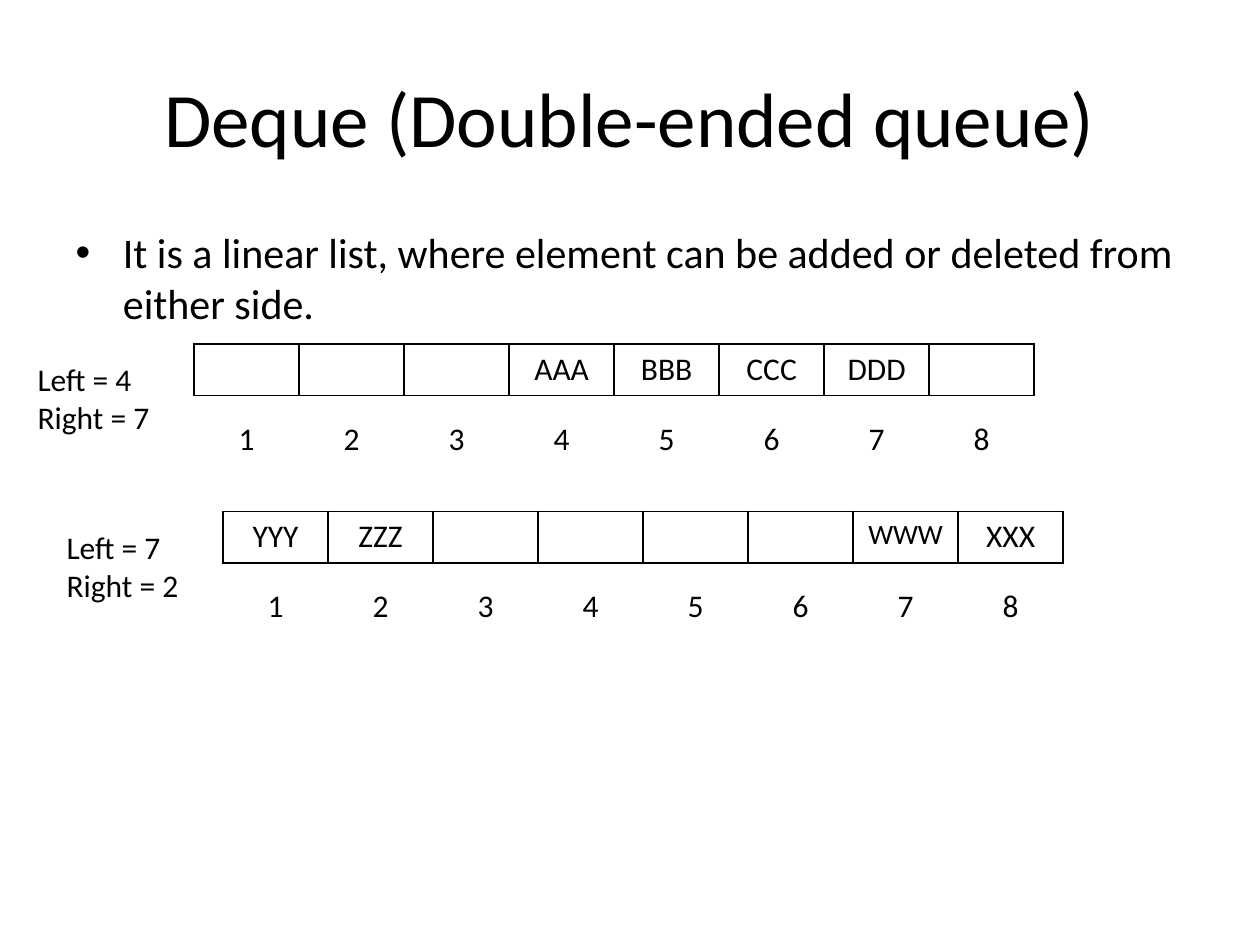
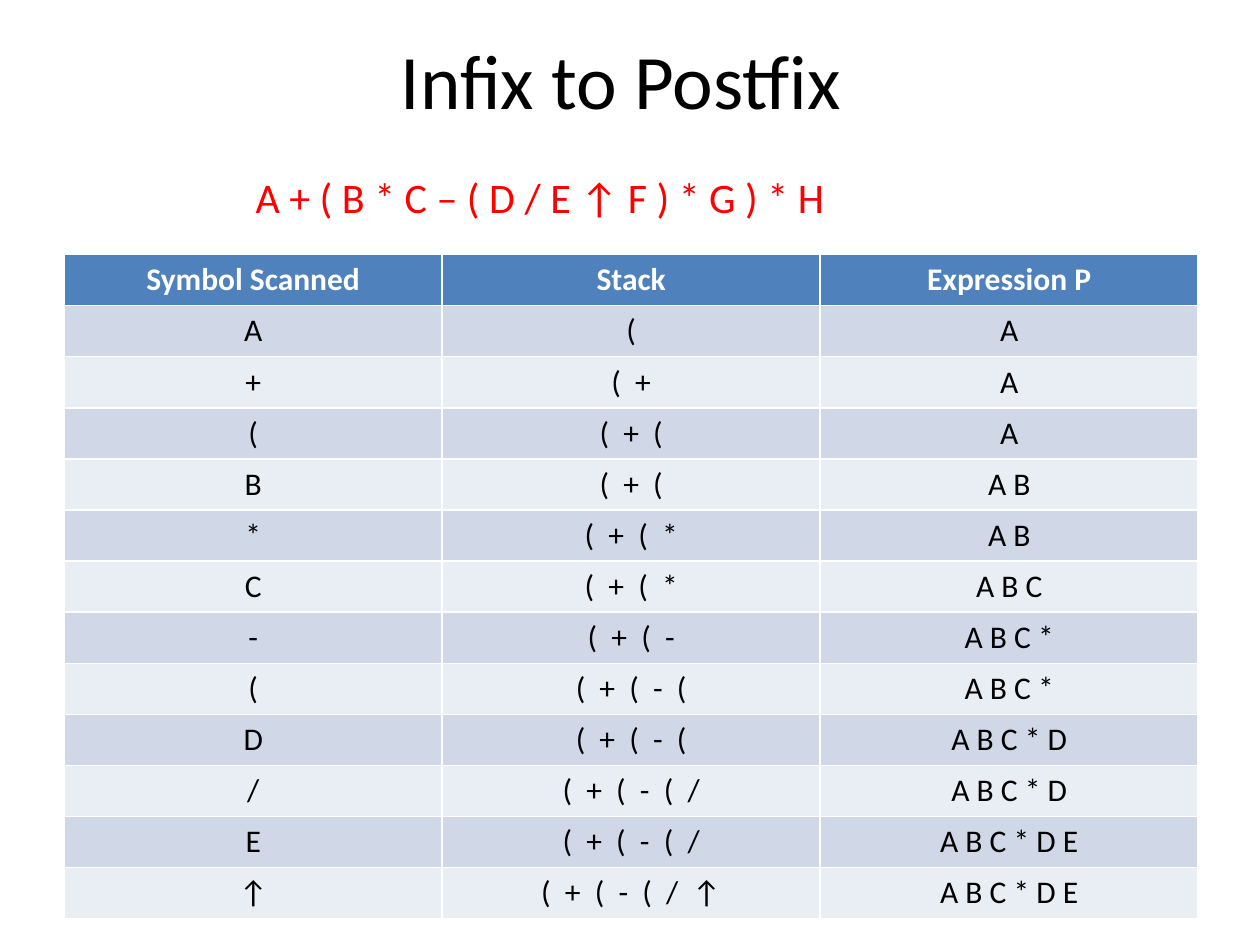
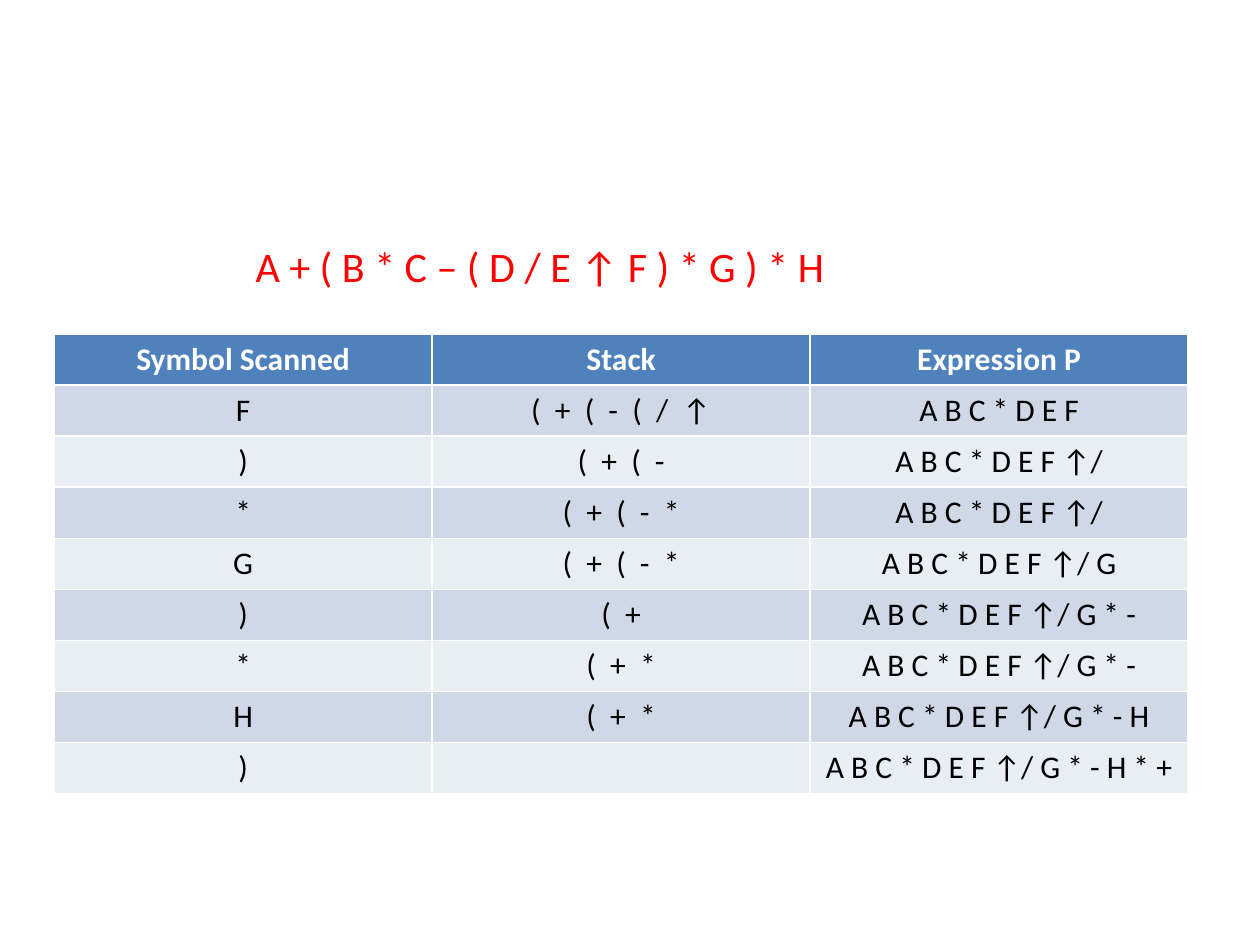
from lxml import etree
from pptx import Presentation
from pptx.dml.color import RGBColor
from pptx.enum.text import PP_ALIGN
from pptx.oxml.ns import qn
from pptx.util import Inches, Pt

CENTER = PP_ALIGN.CENTER
FONT = "Calibri"
BLACK, WHITE, RED = "000000", "FFFFFF", "FF0000"
HEADER_FILL = "4F81BD"
BAND_FILLS = ["E9EDF4", "D0D8E8"]
TITLE_ONLY, TITLE_AND_CONTENT, BLANK = 5, 1, 6
EXPRESSION = "A + ( B * C – ( D / E ↑ F ) * G ) * H"
HEADINGS = ("Symbol Scanned", "Stack", "Expression P")


def format_text(text_frame, size, color, bold=False, alignment=None):
    for paragraph in text_frame.paragraphs:
        paragraph.alignment = alignment
        paragraph.font.name = FONT
        paragraph.font.size = Pt(size)
        paragraph.font.bold = bold
        paragraph.font.color.rgb = RGBColor.from_string(color)


def add_grid(slide, rows, left, top, width, height):
    """Add a table with centred 18 pt black text and no fill."""
    table = slide.shapes.add_table(len(rows), len(rows[0]), Inches(left), Inches(top),
                                   Inches(width), Inches(height)).table
    for row_index, row in enumerate(rows):
        for column_index, text in enumerate(row):
            cell = table.cell(row_index, column_index)
            cell.text = text
            cell.fill.background()
            format_text(cell.text_frame, 18, BLACK, alignment=CENTER)
    return table


presentation = Presentation()
presentation.slide_width = Inches(10)
presentation.slide_height = Inches(7.5)
layouts = presentation.slide_layouts

# Slide 1: deque
slide = presentation.slides.add_slide(layouts[TITLE_AND_CONTENT])
slide.shapes.title.text = "Deque (Double-ended queue)"
format_text(slide.shapes.title.text_frame, 44, BLACK, alignment=CENTER)
body = slide.placeholders[1]
body.text = "It is a linear list, where element can be added or deleted from either side."
format_text(body.text_frame, 24, BLACK)

deques = [
    (1.54, 2.73, ["", "", "", "AAA", "BBB", "CCC", "DDD", ""], "Left = 4\nRight = 7"),
    (1.77, 4.06, ["YYY", "ZZZ", "", "", "", "", "WWW", "XXX"], "Left = 7\nRight = 2"),
]
for left, top, elements, pointers in deques:
    deque_table = add_grid(slide, [elements], left, top, 6.67, 0.41)
    deque_table.first_row = deque_table.horz_banding = False
    for cell in deque_table.iter_cells():
        if cell.text == "WWW":
            format_text(cell.text_frame, 16, BLACK, alignment=CENTER)
        # Black cell borders, placed before the fill as the schema asks
        properties = cell._tc.get_or_add_tcPr()
        for position, side in enumerate(("a:lnL", "a:lnR", "a:lnT", "a:lnB")):
            line = etree.Element(qn(side), w=str(Pt(1)))
            fill = etree.SubElement(line, qn("a:solidFill"))
            etree.SubElement(fill, qn("a:srgbClr"), val=BLACK)
            properties.insert(position, line)

    positions = [str(number) for number in range(1, len(elements) + 1)]
    position_table = add_grid(slide, [positions], left, top + 0.555, 6.67, 0.41)
    position_table.first_row = position_table.horz_banding = False

    pointer_box = slide.shapes.add_textbox(Inches(left - 1.34), Inches(top + 0.08),
                                           Inches(1.26), Inches(0.71))
    pointer_box.text_frame.word_wrap = True
    pointer_box.text_frame.text = pointers
    format_text(pointer_box.text_frame, 18, BLACK)

# Slides 2 and 3: conversion steps as symbol, stack, expression
first_steps = [
    ("A", "(", "A"),
    ("+", "(+", "A"),
    ("(", "(+(", "A"),
    ("B", "(+(", "A B"),
    ("*", "(+(*", "A B"),
    ("C", "(+(*", "A B C"),
    ("-", "(+(-", "A B C *"),
    ("(", "(+(-(", "A B C *"),
    ("D", "(+(-(", "A B C * D"),
    ("/", "(+(-(/", "A B C * D"),
    ("E", "(+(-(/", "A B C * D E"),
    ("↑", "(+(-(/↑", "A B C * D E"),
]
last_steps = [
    ("F", "(+(-(/↑", "A B C * D E F"),
    (")", "(+(-", "A B C * D E F ↑/"),
    ("*", "(+(-*", "A B C * D E F ↑/"),
    ("G", "(+(-*", "A B C * D E F ↑/ G"),
    (")", "(+", "A B C * D E F ↑/ G * -"),
    ("*", "(+*", "A B C * D E F ↑/ G * -"),
    ("H", "(+*", "A B C * D E F ↑/ G * - H"),
    (")", "", "A B C * D E F ↑/ G * - H * +"),
]
conversions = [
    (TITLE_ONLY, first_steps, 0.51, 2.02, 5.27, 1.31),
    (BLANK, last_steps, 0.43, 2.65, 3.65, 1.86),
]
for layout, steps, left, top, height, expression_top in conversions:
    slide = presentation.slides.add_slide(layouts[layout])
    if layout == TITLE_ONLY:
        title = slide.shapes.title
        title.left, title.top = Inches(0.43), Inches(0)
        title.width, title.height = Inches(9), Inches(1.25)
        title.text = "Infix to Postfix"
        format_text(title.text_frame, 44, BLACK, alignment=CENTER)

    # Stack symbols are set two spaces apart
    rows = [HEADINGS] + [(symbol, "  ".join(stack), output) for symbol, stack, output in steps]
    table = add_grid(slide, rows, left, top, 9, height)
    for row_index, row in enumerate(table.rows):
        for cell in row.cells:
            cell.fill.solid()
            color = BAND_FILLS[row_index % 2] if row_index else HEADER_FILL
            cell.fill.fore_color.rgb = RGBColor.from_string(color)
            if row_index == 0:
                format_text(cell.text_frame, 18, WHITE, bold=True, alignment=CENTER)

    expression_box = slide.shapes.add_textbox(Inches(1.93), Inches(expression_top),
                                              Inches(5.98), Inches(0.5))
    expression_box.text_frame.word_wrap = True
    expression_box.text_frame.text = EXPRESSION
    format_text(expression_box.text_frame, 24, RED)

presentation.save("out.pptx")
